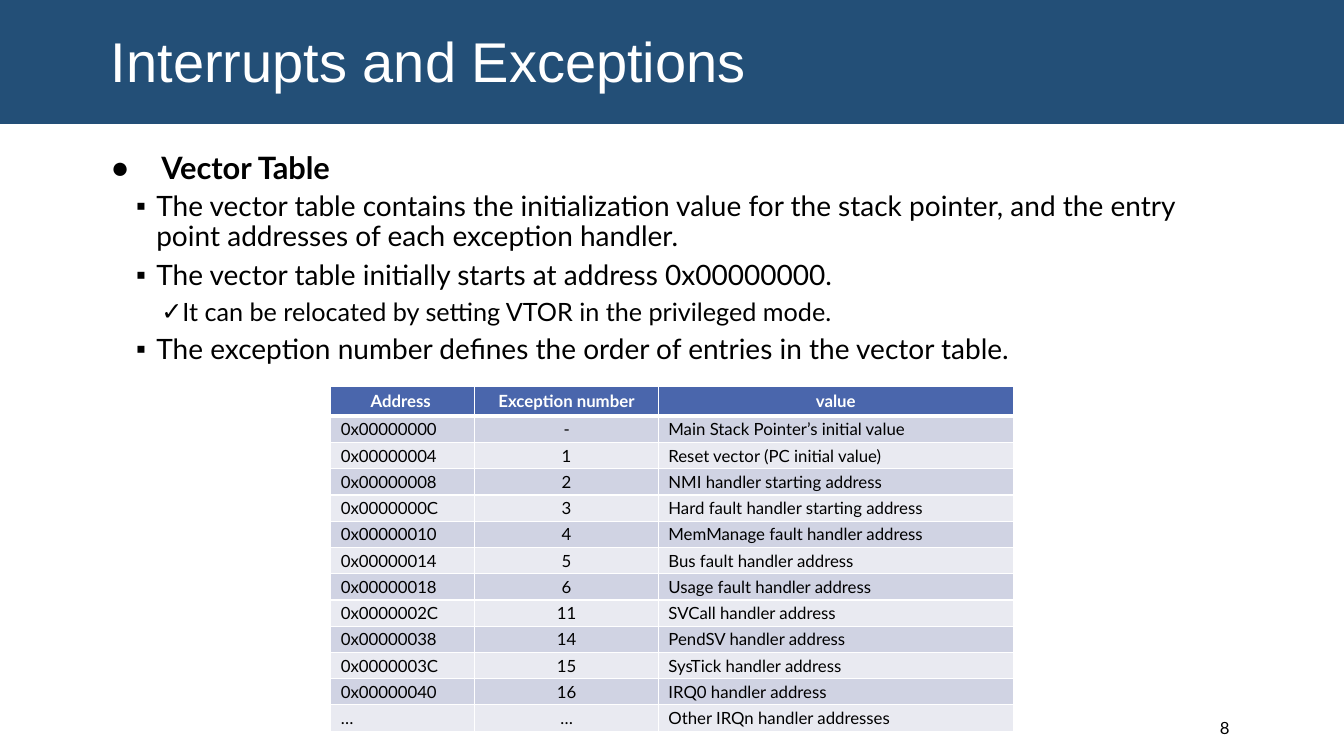
from dataclasses import dataclass

from pptx import Presentation
from pptx import util as u
from pptx.dml.color import RGBColor
from pptx.enum import shapes, text
from pptx.oxml import parse_xml
from pptx.oxml.ns import nsdecls

PX = 9144


@dataclass(frozen=True)
class Theme:
    white: str = "FFFFFF"
    black: str = "000000"
    navy: str = "234F77"
    head: str = "4A66AC"
    bands: tuple = ("D0D3E3", "E9EAF1")
    sans: str = "Arial"
    body: str = "Lato"
    title: int = 40
    levels: tuple = (22, 20, 18)
    small: int = 12


def px(n):
    return u.Emu(n * PX)


def apply(thing, form):
    for name, value in form.items():
        setattr(thing, name, value)


def place(shape, box):
    apply(shape, dict(zip(("left", "top", "width", "height"), map(px, box))))


def paint(fill, color):
    fill.solid()
    fill.fore_color.rgb = RGBColor.from_string(color)


class Deck:
    def __init__(self, theme, wide, high):
        self.theme = theme
        self.file = Presentation()
        apply(self.file, {"slide_width": px(wide), "slide_height": px(high)})
        self.slide = self.file.slides.add_slide(self.file.slide_layouts[1])

    def words(self, para, words, size, color, face=None, bold=False, **form):
        apply(para, form)
        run = para.add_run()
        run.text = words
        apply(run.font, {"name": face or self.theme.body, "size": u.Pt(size), "bold": bold})
        run.font.color.rgb = RGBColor.from_string(color)

    def bar(self, box, color):
        shape = self.slide.shapes.add_shape(shapes.MSO_SHAPE.RECTANGLE, *map(px, box))
        shape.shadow.inherit = False
        paint(shape.fill, color)
        shape.line.fill.background()
        self.slide.shapes._spTree.insert(2, shape._element)

    def title(self, box, words):
        shape = self.slide.shapes.title
        place(shape, box)
        apply(shape.text_frame, {"auto_size": text.MSO_AUTO_SIZE.NONE,
                                 "vertical_anchor": text.MSO_ANCHOR.MIDDLE})
        self.words(shape.text_frame.paragraphs[0], words, self.theme.title, self.theme.white,
                   self.theme.sans, alignment=text.PP_ALIGN.LEFT, line_spacing=0.85)

    def bullet(self, para, mark, left, hang):
        props = para._p.get_or_add_pPr()
        props.set("marL", str(px(left)))
        props.set("indent", str(px(-hang)))
        for tag in (f'<a:buClr {nsdecls("a")}><a:srgbClr val="{self.theme.black}"/></a:buClr>',
                    f'<a:buFont {nsdecls("a")} typeface="{self.theme.sans}"/>',
                    f'<a:buChar {nsdecls("a")} char="{mark}"/>'):
            props.append(parse_xml(tag))

    def list(self, box, items):
        shape = self.slide.placeholders[1]
        place(shape, box)
        frame = shape.text_frame
        frame.auto_size = text.MSO_AUTO_SIZE.NONE
        marks = (("●", 50, 50), ("▪", 45, 20), ("✓", 70, 20))
        for i, (level, words) in enumerate(items):
            para = frame.add_paragraph() if i else frame.paragraphs[0]
            self.bullet(para, *marks[level])
            self.words(para, words, self.theme.levels[level], self.theme.black,
                       bold=level == 0, level=level, line_spacing=0.9,
                       space_before=u.Pt(2 if i else 0), space_after=u.Pt(4 if level else 2))

    def label(self, box, words):
        frame = self.slide.shapes.add_textbox(*map(px, box)).text_frame
        apply(frame, {"word_wrap": True, "margin_left": px(5),
                      "vertical_anchor": text.MSO_ANCHOR.MIDDLE})
        self.words(frame.paragraphs[0], words, self.theme.small, self.theme.black)

    def edge(self, cell, base):
        props = cell._tc.get_or_add_tcPr()
        for side, width in (("L", 1), ("R", 1), ("T", 1), ("B", base)):
            props.append(parse_xml(
                f'<a:ln{side} {nsdecls("a")} w="{u.Pt(width)}"><a:solidFill>'
                f'<a:srgbClr val="{self.theme.white}"/></a:solidFill></a:ln{side}>'))

    def table(self, left, top, cols, highs, rows):
        size = len(rows), len(cols)
        box = left, top, sum(cols), highs[0] + highs[1] * (len(rows) - 1)
        grid = self.slide.shapes.add_table(*size, *map(px, box)).table
        for col, wide in zip(grid.columns, cols):
            col.width = px(wide)
        for r, row in enumerate(rows):
            grid.rows[r].height = px(highs[min(r, 1)])
            for c, words in enumerate(row):
                self.cell(grid.cell(r, c), words, r, c)

    def cell(self, cell, words, r, c):
        head = r == 0
        self.edge(cell, 3 if head else 1)
        paint(cell.fill, self.theme.head if head else self.theme.bands[(r - 1) % 2])
        pad = px(5 if head else 3)
        apply(cell, {"margin_left": px(10), "margin_right": px(10),
                     "margin_top": pad, "margin_bottom": pad})
        side = text.PP_ALIGN.CENTER if head or c == 1 else text.PP_ALIGN.LEFT
        self.words(cell.text_frame.paragraphs[0], words, self.theme.small,
                   self.theme.white if head else self.theme.black, bold=head, alignment=side)


POINTS = [
    (0, "Vector Table"),
    (1, "The vector table contains the initialization value for the stack pointer, "
        "and the entry point addresses of each exception handler."),
    (1, "The vector table initially starts at address 0x00000000."),
    (2, "It can be relocated by setting VTOR in the privileged mode."),
    (1, "The exception number defines the order of entries in the vector table."),
]

VECTORS = [
    ("Address ", "Exception number", "value"),
    ("0x00000000", "-", "Main Stack Pointer’s initial value"),
    ("0x00000004", "1", "Reset vector (PC initial value)"),
    ("0x00000008", "2", "NMI handler starting address"),
    ("0x0000000C", "3", "Hard fault handler starting address"),
    ("0x00000010", "4", "MemManage fault handler address"),
    ("0x00000014", "5", "Bus fault handler address"),
    ("0x00000018", "6", "Usage fault handler address"),
    ("0x0000002C", "11", "SVCall handler address"),
    ("0x00000038", "14", "PendSV handler address"),
    ("0x0000003C", "15", "SysTick handler address"),
    ("0x00000040", "16", "IRQ0 handler address"),
    ("…", "…", "Other IRQn handler addresses"),
]


def main():
    deck = Deck(Theme(), 1333, 750)
    deck.bar((0, 0, 1333, 123), deck.theme.navy)
    deck.title((100, 31, 1133, 68), "Interrupts and Exceptions")
    deck.list((100, 147, 1133, 533), POINTS)
    deck.label((1205, 702, 103, 40), "8")
    deck.table(328, 383, (143, 182, 352), (30, 25), VECTORS)
    deck.file.save("out.pptx")


if __name__ == "__main__":
    main()
